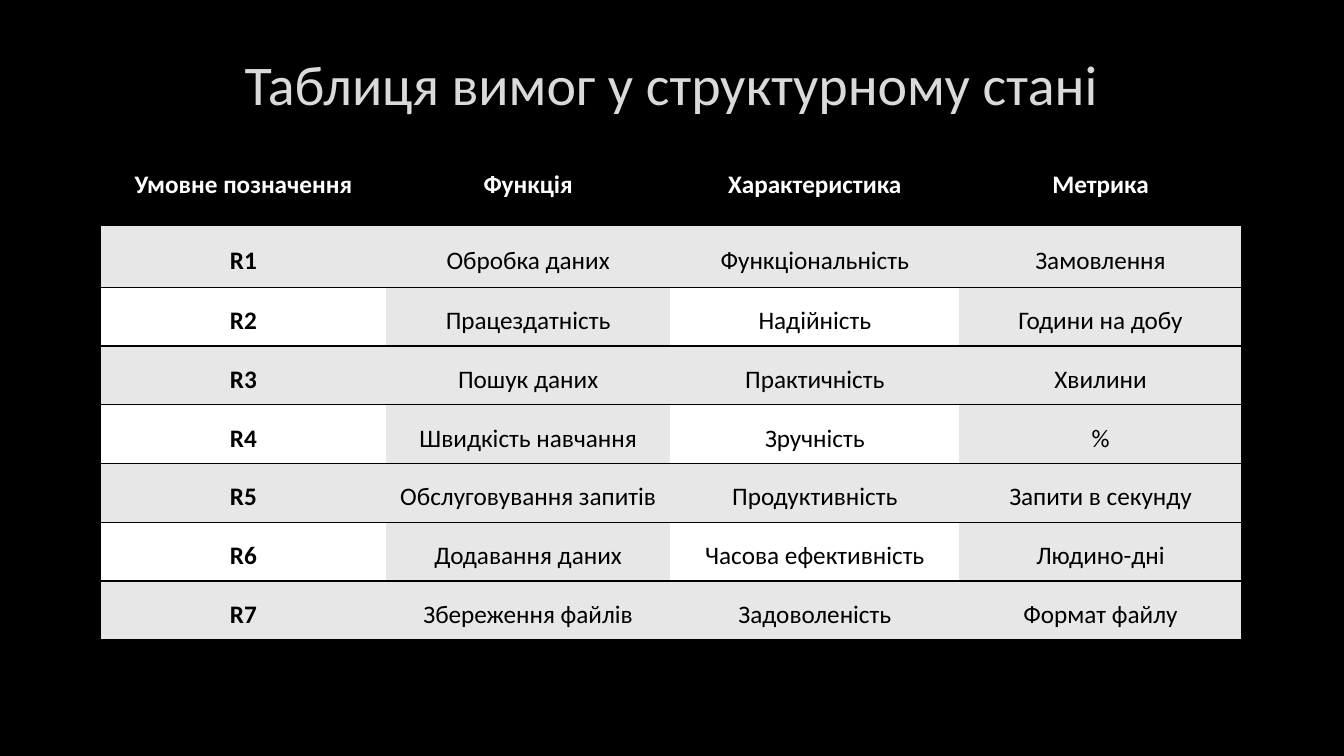
from lxml import etree
from pptx import Presentation
from pptx.dml.color import RGBColor
from pptx.enum import text
from pptx.oxml import ns
from pptx.util import Cm, Pt

BLACK = RGBColor(0x00, 0x00, 0x00)
WHITE = RGBColor(0xFF, 0xFF, 0xFF)
GREY = RGBColor(0xE7, 0xE7, 0xE7)
TITLE_GREY = RGBColor(0xDA, 0xDA, 0xDA)
OUTLINE_GREY = RGBColor(0x40, 0x40, 0x40)
PLAIN_TABLE_STYLE = "{2D5ABB26-0587-4C30-8999-92F81FD0307C}"

COLUMN_WIDTHS = [7.19, 7.16, 7.29, 7.11]
ROW_HEIGHTS = [2.26, 1.55] + [1.48] * 6
REQUIREMENTS = [
    ("Умовне позначення", "Функція", "Характеристика", "Метрика"),
    ("R1", "Обробка даних", "Функціональність", "Замовлення"),
    ("R2", "Працездатність", "Надійність", "Години на добу"),
    ("R3", "Пошук даних", "Практичність", "Хвилини"),
    ("R4", "Швидкість навчання", "Зручність", "%"),
    ("R5", "Обслуговування запитів", "Продуктивність", "Запити в секунду"),
    ("R6", "Додавання даних", "Часова ефективність", "Людино-дні"),
    ("R7", "Збереження файлів", "Задоволеність", "Формат файлу"),
]


def add_line(parent, tag, width, color, opacity=100):
    """Append a solid line element to text or cell properties."""
    line = etree.SubElement(parent, ns.qn(tag), w=str(Pt(width)))
    solid = etree.SubElement(line, ns.qn("a:solidFill"))
    shade = etree.SubElement(solid, ns.qn("a:srgbClr"), val=str(color))
    if opacity < 100:
        etree.SubElement(shade, ns.qn("a:alpha"), val=str(opacity * 1000))


def add_span(para, words, size, color, bold):
    span = para.add_run()
    span.text = words
    span.font.name = "Calibri"
    span.font.size = Pt(size)
    span.font.bold = bold
    span.font.color.rgb = color
    return span


deck = Presentation()
deck.slide_width, deck.slide_height = Cm(33.87), Cm(19.05)
page = deck.slides.add_slide(deck.slide_layouts[5])
page.background.fill.solid()
page.background.fill.fore_color.rgb = BLACK

# Title
title = page.shapes.title
title.left, title.top = Cm(2.54), Cm(0.74)
title.width, title.height = Cm(28.75), Cm(2.69)
title.text_frame.vertical_anchor = text.MSO_ANCHOR.MIDDLE
para = title.text_frame.paragraphs[0]
para.alignment = text.PP_ALIGN.CENTER
span = add_span(para, "Таблиця вимог у структурному стані", 40, TITLE_GREY, False)
properties = span.font._element
add_line(properties, "a:ln", 0.75, OUTLINE_GREY, opacity=10)
properties.insert(0, properties[-1])

# Requirements table
frame = page.shapes.add_table(
    len(ROW_HEIGHTS), len(COLUMN_WIDTHS),
    Cm(2.54), Cm(3.43), Cm(sum(COLUMN_WIDTHS)), Cm(sum(ROW_HEIGHTS)))
table = frame.table
table._tbl.tblPr.find(ns.qn("a:tableStyleId")).text = PLAIN_TABLE_STYLE
table.horz_banding = False
for column, width in zip(table.columns, COLUMN_WIDTHS):
    column.width = Cm(width)
for row, height in zip(table.rows, ROW_HEIGHTS):
    row.height = Cm(height)

for r, labels in enumerate(REQUIREMENTS):
    for c, label in enumerate(labels):
        cell = table.cell(r, c)
        cell.margin_left = cell.margin_right = Cm(0.2)
        cell.margin_top, cell.margin_bottom = Cm(0.1), Cm(0)
        cell.vertical_anchor = text.MSO_ANCHOR.MIDDLE

        borders = ["a:lnT", "a:lnB"]
        if c == 0:
            borders.insert(0, "a:lnL")
        elif c == len(labels) - 1:
            borders.insert(0, "a:lnR")
        for border in borders:
            add_line(cell._tc.get_or_add_tcPr(), border, 1, BLACK)

        header = r == 0
        shaded = r % 2 == 1 or c % 2 == 1
        cell.fill.solid()
        cell.fill.fore_color.rgb = BLACK if header else GREY if shaded else WHITE

        para = cell.text_frame.paragraphs[0]
        para.alignment = text.PP_ALIGN.CENTER
        para.line_spacing = 1.15
        add_span(para, label, 18, WHITE if header else BLACK, header or c == 0)

deck.save("out.pptx")
